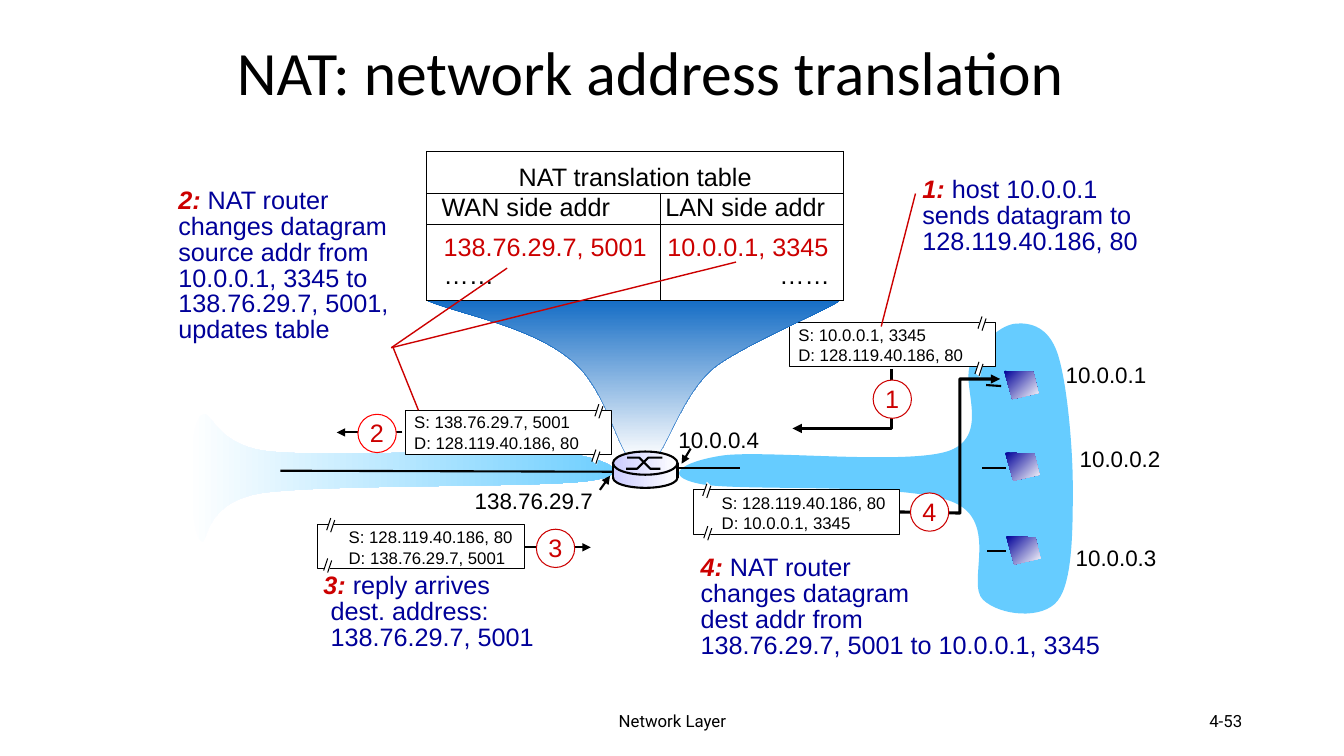
"""Build the slide on network address translation."""
from dataclasses import dataclass
from typing import Any, Optional, Sequence

from lxml.etree import SubElement
from pptx import Presentation
from pptx.dml.color import RGBColor
from pptx.enum.shapes import MSO_CONNECTOR as Link, MSO_SHAPE as Kind
from pptx.enum.text import MSO_ANCHOR as Anchor, MSO_AUTO_SIZE as Auto, PP_ALIGN as Align
from pptx.oxml.ns import qn
from pptx.util import Emu, Pt

Point = tuple[int, int]
Box = tuple[int, int, int, int]
SCALE = 9144
BLACK, WHITE, RED, NAVY = "000000", "FFFFFF", "CC0000", "000099"
SKY, LILAC, BLUE = "66CCFF", "CCCCFF", "0563C1"


@dataclass(frozen=True)
class Run:
    text: str
    color: str = BLACK
    strong: bool = False


@dataclass(frozen=True)
class Para:
    runs: Sequence[Run]
    align: Align = Align.LEFT
    indent: int = 0


@dataclass(frozen=True)
class Fade:
    first: str
    last: str
    angle: int = 0


@dataclass(frozen=True)
class Packet:
    step: str
    at: Point
    shift: Point
    lines: Sequence[str]
    cuts: Sequence[Point]
    route: Sequence[Point]
    ring: Point
    edge: str = RED
    width: int = 204


@dataclass(frozen=True)
class Note:
    step: str
    box: Box
    lines: Sequence[str]
    links: Sequence[tuple[Point, Point]] = ()
    indent: int = 0


FIRST = Packet("1", (783, 320), (-1, -3), ("S: 10.0.0.1, 3345", "D: 128.119.40.186, 80"),
               ((187, -8), (184, 37)), ((884, 366), (884, 425), (786, 425)), (866, 377))
OTHERS = (
    Packet("4", (688, 486), (18, -2), ("S: 128.119.40.186, 80", "D: 10.0.0.1, 3345"),
           ((9, -8), (10, 34)), ((892, 508), (952, 509), (952, 376), (992, 376)), (903, 489)),
    Packet("2", (402, 407), (-1, -3), ("S: 138.76.29.7, 5001", "D: 128.119.40.186, 80"),
           ((188, -8), (185, 37)), ((399, 429), (334, 429)), (355, 411), "FF0000", 205),
    Packet("3", (315, 520), (21, -2), ("S: 128.119.40.186, 80", "D: 138.76.29.7, 5001"),
           ((9, -8), (6, 32)), ((520, 543), (586, 543)), (532, 525), width=205),
)
NOTES = (
    Note("1", (905, 172, 235, 87), ("host 10.0.0.1", "sends datagram to", "128.119.40.186, 80"),
         (((908, 192), (874, 324)),)),
    Note("2", (167, 183, 240, 163),
         ("NAT router", "changes datagram", "source addr from", "10.0.0.1, 3345 to",
          "138.76.29.7, 5001,", "updates table"),
         (((390, 345), (415, 407)), ((388, 345), (503, 266)), ((388, 345), (730, 260)))),
    Note("3", (311, 565, 240, 87), ("reply arrives", "dest. address:", "138.76.29.7, 5001"), indent=7),
    Note("4", (685, 547, 423, 142), ("NAT router", "changes datagram", "dest addr from",
                                     "138.76.29.7, 5001 to 10.0.0.1, 3345")),
)
LABELS = (("10.0.0.1", (1047, 353, 101, 37)), ("10.0.0.2", (1061, 437, 101, 37)),
          ("10.0.0.3", (1057, 535, 101, 37)), ("10.0.0.4", (663, 418, 101, 37)),
          ("138.76.29.7", (461, 478, 138, 37)))
WIRES = (((668, 464), (734, 464)), ((978, 382), (993, 383)), ((979, 547), (998, 547)),
         ((974, 464), (998, 464)), ((278, 467), (609, 468)))
HINTS = (((685, 445), (676, 460)), ((595, 486), (605, 472)))
HOSTS = ((996, 368), (997, 449), (998, 532))
WAN = ((558, 449), (506, 444), (329, 454), (269, 448), (209, 443), (210, 399), (198, 414),
       (186, 428), (188, 522), (198, 535), (208, 548), (196, 499), (260, 489), (324, 480),
       (534, 484), (584, 477), (634, 470), (602, 455), (558, 449))
LAN = ((716, 452), (757, 446), (901, 462), (942, 447), (983, 431), (952, 381), (963, 360),
       (974, 339), (993, 322), (1008, 321), (1022, 320), (1040, 324), (1049, 351), (1058, 378),
       (1064, 442), (1064, 483), (1064, 524), (1064, 577), (1049, 596), (1034, 615), (992, 611),
       (975, 595), (958, 579), (992, 517), (945, 498), (898, 478), (732, 488), (694, 480),
       (655, 472), (677, 458), (716, 452))
FUNNEL = ((423, 298), (423, 298), (784, 287), (831, 298), (845, 297), (738, 341), (708, 365),
          (678, 390), (663, 441), (650, 455), (650, 455), (624, 455), (624, 455), (610, 438),
          (599, 382), (565, 356), (524, 323), (456, 312), (423, 298))

deck = Presentation()
deck.slide_width, deck.slide_height = Emu(1333 * SCALE), Emu(750 * SCALE)
slide = deck.slides.add_slide(deck.slide_layouts[6])
shapes = slide.shapes


def px(*sizes: int) -> list[Emu]:
    """Turn px into EMU."""
    return [Emu(size * SCALE) for size in sizes]


def tint(code: str) -> RGBColor:
    """Give the colour of a hex string."""
    return RGBColor.from_string(code)


def paint(shape: Any, fill: str | Fade | None, line: Optional[str] = None, width: float = 0.75) -> None:
    """Set the fill and line of a shape."""
    shape.shadow.inherit = False
    if isinstance(fill, Fade):
        shape.fill.gradient()
        shape.fill.gradient_angle = (360 - fill.angle) % 360
        for stop, code in zip(shape.fill.gradient_stops, (fill.first, fill.last)):
            stop.color.rgb = tint(code)
    elif fill:
        shape.fill.solid()
        shape.fill.fore_color.rgb = tint(fill)
    else:
        shape.fill.background()
    if line:
        shape.line.color.rgb = tint(line)
        shape.line.width = Pt(width)
    else:
        shape.line.fill.background()


def form(kind: Kind, box: Box, fill: str | Fade, line: Optional[str] = None, width: float = 0.75) -> None:
    """Draw a preset shape."""
    paint(shapes.add_shape(kind, *px(*box)), fill, line, width)


def trace(points: Sequence[Point], fill: str | Fade | None,
          line: Optional[str] = None, width: float = 0.75) -> Any:
    """Draw an outline, closed if it is filled."""
    pen = shapes.build_freeform(*points[0], scale=SCALE)
    pen.add_line_segments(points[1:], close=fill is not None)
    shape = pen.convert_to_shape()
    paint(shape, fill, line, width)
    return shape


def bend(knots: Sequence[Point], fill: str | Fade, line: Optional[str] = None, width: float = 0.75) -> None:
    """Draw a closed outline of cubic curves."""
    shape = trace(knots, fill, line, width)
    legs = list(shape.element.iter(qn("a:lnTo")))
    for i in range(0, len(legs), 3):
        curve = legs[i]
        curve.tag = qn("a:cubicBezTo")
        for leg in legs[i + 1:i + 3]:
            curve.append(leg[0])
            leg.getparent().remove(leg)


def tip(shape: Any) -> None:
    """End a line with an arrowhead."""
    SubElement(shape.element.spPr.find(qn("a:ln")), qn("a:tailEnd"), type="triangle")


def wire(start: Point, end: Point, color: str = BLACK, width: float = 1.5, arrow: bool = False) -> None:
    """Draw a straight line."""
    link = shapes.add_connector(Link.STRAIGHT, *px(*start, *end))
    link.line.color.rgb = tint(color)
    link.line.width = Pt(width)
    if arrow:
        tip(link)
    SubElement(link.element.spPr, qn("a:effectLst"))


def write(frame: Any, paras: Sequence[Para], size: int, font: str = "Arial",
          space: Optional[float] = None) -> None:
    """Fill a text frame run by run."""
    for i, para in enumerate(paras):
        line = frame.add_paragraph() if i else frame.paragraphs[0]
        line.alignment = para.align
        if space:
            line.line_spacing = space
        if para.indent:
            line._p.get_or_add_pPr().set("marL", str(px(para.indent)[0]))
        for part in para.runs:
            run = line.add_run()
            run.text = part.text
            run.font.name, run.font.size = font, Pt(size)
            run.font.bold = run.font.italic = part.strong
            run.font.color.rgb = tint(part.color)


def label(box: Box, paras: Sequence[Para], size: int, font: str = "Arial", wrap: bool = False,
          space: Optional[float] = None, anchor: Anchor = Anchor.TOP) -> None:
    """Place a text box."""
    frame = shapes.add_textbox(*px(*box)).text_frame
    frame.word_wrap = wrap
    frame.auto_size = Auto.NONE if wrap else Auto.SHAPE_TO_FIT_TEXT
    frame.vertical_anchor = anchor
    write(frame, paras, size, font, space)


def send(pack: Packet) -> None:
    """Draw a packet with its route and step ring."""
    x, y = pack.at
    form(Kind.RECTANGLE, (x, y, pack.width, 44), WHITE, BLACK)
    label((x + pack.shift[0], y + pack.shift[1], 193, 50),
          [Para([Run(text)]) for text in pack.lines], 12, wrap=True)
    for dx, dy in pack.cuts:
        a, b = x + dx, y + dy
        trace([(a + 4, b), (a, b + 13), (a + 5, b + 17), (a + 8, b + 4)], WHITE)
        for u, v in ((4, 2), (8, 4)):
            wire((a + u, b + v), (a + u - 4, b + v + 12), width=0.75)
    if len(pack.route) == 2:
        wire(*pack.route, arrow=True)
    else:
        tip(trace(pack.route, None, BLACK, 2.25))
    left, top = pack.ring
    form(Kind.OVAL, (left, top, 38, 38), WHITE, pack.edge)
    label((left + 2, top - 2, 34, 40), [Para([Run(pack.step, RED)])], 18)


def tell(note: Note) -> None:
    """Write a step note and draw its pointers."""
    head, *rest = note.lines
    paras = [Para([Run(f"{note.step}: ", RED, True), Run(head, NAVY)])]
    paras += [Para([Run(text, NAVY)], indent=note.indent) for text in rest]
    label(note.box, paras, 18, wrap=True, space=0.85)
    for start, end in note.links:
        wire(start, end, RED, 1)


def chart() -> None:
    """Add the translation table."""
    grid = shapes.add_table(3, 2, *px(423, 150, 414, 148)).table
    grid.first_row = grid.horz_banding = False
    for col, width in zip(grid.columns, px(232, 182)):
        col.width = width
    for row, height in zip(grid.rows, px(42, 31, 75)):
        row.height = height
    grid.cell(0, 0).merge(grid.cell(0, 1))
    dots = Run("……")
    rows = (
        ([Para([Run("NAT translation table")], Align.CENTER)], []),
        ([Para([Run("WAN side addr")])], [Para([Run("LAN side addr")])]),
        ([Para([Run("138.76.29.7, 5001", RED)]), Para([dots])],
         [Para([Run("10.0.0.1, 3345", RED)]), Para([dots], Align.RIGHT)]),
    )
    for r, (row, top) in enumerate(zip(rows, (12, 0, 9))):
        for c, paras in enumerate(row):
            cell = grid.cell(r, c)
            cell.margin_left, cell.margin_right, cell.margin_top, cell.margin_bottom = px(
                (0, 15, 17)[r] if c == 0 else 3 + 2 * r, 14 if c else 0, top, 0)
            for side in ("lnL", "lnR", "lnT", "lnB"):
                edge = SubElement(cell._tc.get_or_add_tcPr(), qn(f"a:{side}"), w=str(Pt(0.75)))
                SubElement(SubElement(edge, qn("a:solidFill")), qn("a:srgbClr"), val=BLACK)
            cell.fill.solid()
            cell.fill.fore_color.rgb = tint(WHITE)
            write(cell.text_frame, paras, 18)


def router() -> None:
    """Draw the router."""
    glow = Fade(LILAC, WHITE)
    form(Kind.OVAL, (608, 464, 64, 20), glow, BLACK, 1.5)
    form(Kind.RECTANGLE, (608, 461, 64, 12), glow)
    form(Kind.OVAL, (608, 448, 64, 23), glow, BLACK, 1.5)
    trace([(621, 465), (632, 465), (643, 454), (657, 454)], None, BLACK, 1.5)
    trace([(622, 454), (634, 454), (645, 465), (655, 465)], None, BLACK, 1.5)
    for x in (608, 672):
        wire((x, 459), (x, 474))


def main() -> None:
    """Draw the slide and save it."""
    label((225, 25, 885, 99), [Para([Run("NAT: network address translation")])], 44, "Calibri",
          True, 0.9, Anchor.MIDDLE)
    for text, box, align in (("Network Layer", (442, 695, 450, 40), Align.CENTER),
                             ("4-53", (942, 695, 300, 40), Align.RIGHT)):
        label(box, [Para([Run(text)], align)], 12, "Roboto", True, anchor=Anchor.MIDDLE)
    bend(WAN, Fade(WHITE, SKY))
    bend(LAN, SKY)
    for start, end in WIRES:
        wire(start, end)
    for text, box in LABELS:
        label(box, [Para([Run(text)])], 16)
    send(FIRST)
    for start, end in HINTS:
        wire(start, end, arrow=True)
    bend(FUNNEL, Fade(BLUE, WHITE, 90), BLUE, 0.25)
    chart()
    for pack in OTHERS:
        send(pack)
    for note in NOTES:
        tell(note)
    router()
    for x, y in HOSTS:
        trace([(x, y), (x + 29, y + 1), (x + 34, y + 22), (x + 8, y + 28)], Fade(NAVY, WHITE, 45))
    deck.save("out.pptx")


if __name__ == "__main__":
    main()
